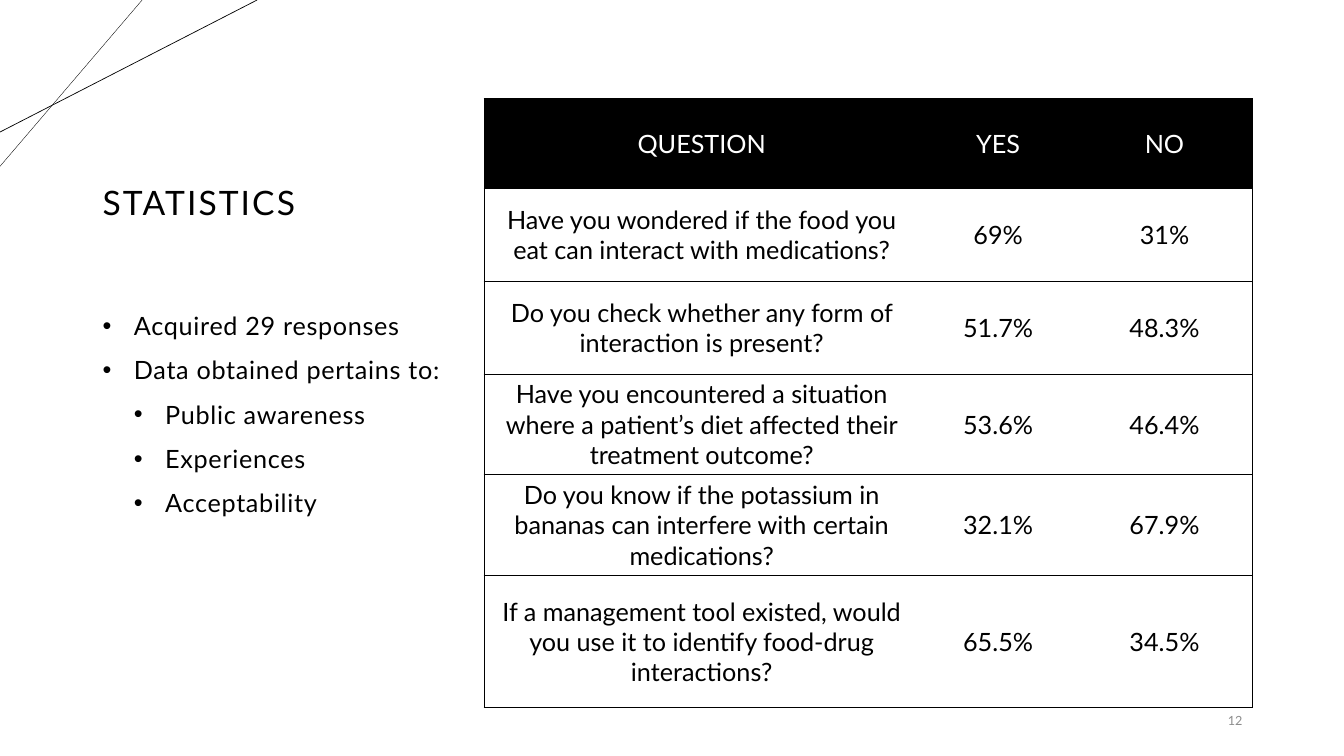
"""Build the survey statistics slide with its question table."""
from lxml import etree
from pptx import Presentation
from pptx.dml.color import RGBColor
from pptx.enum.shapes import MSO_CONNECTOR
from pptx.enum.text import MSO_ANCHOR, PP_ALIGN
from pptx.oxml.ns import qn
from pptx.util import Pt

PX = 9144
FONT = "Lato"
COLORS = {"ink": "000000", "paper": "FFFFFF", "muted": "8C8C8C"}
STRAIGHT = MSO_CONNECTOR.STRAIGHT
MIDDLE, TOP = MSO_ANCHOR.MIDDLE, MSO_ANCHOR.TOP
LEFT, CENTER, RIGHT = PP_ALIGN.LEFT, PP_ALIGN.CENTER, PP_ALIGN.RIGHT


def add_span(para, text, size, color, align=LEFT, tracking=0):
    para.alignment = align
    span = para.add_run()
    span.text = text
    span.font.name = FONT
    span.font.size = Pt(size)
    span.font.color.rgb = RGBColor.from_string(COLORS[color])
    if tracking:
        span._r.get_or_add_rPr().set("spc", str(tracking))


def add_box(left, top, width, height, anchor):
    box = page.shapes.add_textbox(left * PX, top * PX, width * PX, height * PX)
    box.text_frame.word_wrap = True
    box.text_frame.vertical_anchor = anchor
    return box.text_frame


deck = Presentation()
deck.slide_width, deck.slide_height = 1333 * PX, 750 * PX
page = deck.slides.add_slide(deck.slide_layouts[6])
page.background.fill.solid()
page.background.fill.fore_color.rgb = RGBColor.from_string(COLORS["paper"])

for start_x, end_y, weight in [(141, 165, 0.25), (255, 131, 0.5)]:
    line = page.shapes.add_connector(STRAIGHT, start_x * PX, 0, 0, end_y * PX)
    line.line.color.rgb = RGBColor.from_string(COLORS["ink"])
    line.line.width = Pt(weight)
    etree.SubElement(line._element.spPr, qn("a:effectLst"))

title = add_box(92, 98, 355, 210, MIDDLE).paragraphs[0]
title.line_spacing = 0.9
add_span(title, "STATISTICS", 24, "ink", tracking=150)

body = add_box(92, 308, 355, 354, TOP)
body.margin_top = 0
bullets = [
    (0, "Acquired 29 responses"),
    (0, "Data obtained pertains to:"),
    (1, "Public awareness"),
    (1, "Experiences"),
    (1, "Acceptability"),
]
for index, (level, text) in enumerate(bullets):
    para = body.add_paragraph() if index else body.paragraphs[0]
    para.level = level
    para.space_before = Pt(10)
    add_span(para, text, 18, "ink", tracking=50)
    properties = para._p.get_or_add_pPr()
    properties.set("marL", str(31 * (level + 1) * PX))
    properties.set("indent", str(-31 * PX))
    etree.SubElement(properties, qn("a:buFont"), typeface="Arial")
    etree.SubElement(properties, qn("a:buChar"), char="•")

answers = [
    ("QUESTION", "YES", "NO"),
    ("Have you wondered if the food you eat can interact with medications?", "69%", "31%"),
    ("Do you check whether any form of interaction is present?", "51.7%", "48.3%"),
    ("Have you encountered a situation where a patient’s diet affected their treatment outcome?",
     "53.6%", "46.4%"),
    ("Do you know if the potassium in bananas can interfere with certain medications?",
     "32.1%", "67.9%"),
    ("If a management tool existed, would you use it to identify food-drug interactions?",
     "65.5%", "34.5%"),
]
column_widths = [432, 156, 174]
row_heights = [89, 92, 92, 100, 100, 131]
table = page.shapes.add_table(
    len(row_heights), len(column_widths), 480 * PX, 98 * PX,
    sum(column_widths) * PX, sum(row_heights) * PX).table
table.first_row = table.horz_banding = False
for column, width in zip(table.columns, column_widths):
    column.width = width * PX
for row, height in zip(table.rows, row_heights):
    row.height = height * PX

for row_index, answer in enumerate(answers):
    text_color, fill_color = ("ink", "paper") if row_index else ("paper", "ink")
    for column_index, text in enumerate(answer):
        cell = table.cell(row_index, column_index)
        cell.vertical_anchor = MIDDLE
        add_span(cell.text_frame.paragraphs[0], text, 18, text_color, CENTER)
        ruled_sides = {
            "lnL": column_index == 0,
            "lnR": column_index == len(column_widths) - 1,
            "lnT": True,
            "lnB": True,
        }
        properties = cell._tc.get_or_add_tcPr()
        for side, ruled in ruled_sides.items():
            border = etree.SubElement(properties, qn("a:" + side), w=str(Pt(0.5)))
            if ruled:
                paint = etree.SubElement(border, qn("a:solidFill"))
                etree.SubElement(paint, qn("a:srgbClr"), val=COLORS["ink"])
            else:
                etree.SubElement(border, qn("a:noFill"))
        cell.fill.solid()
        cell.fill.fore_color.rgb = RGBColor.from_string(COLORS[fill_color])

page_number = add_box(1134, 695, 108, 40, MIDDLE).paragraphs[0]
add_span(page_number, "12", 9, "muted", RIGHT)

deck.save("out.pptx")
